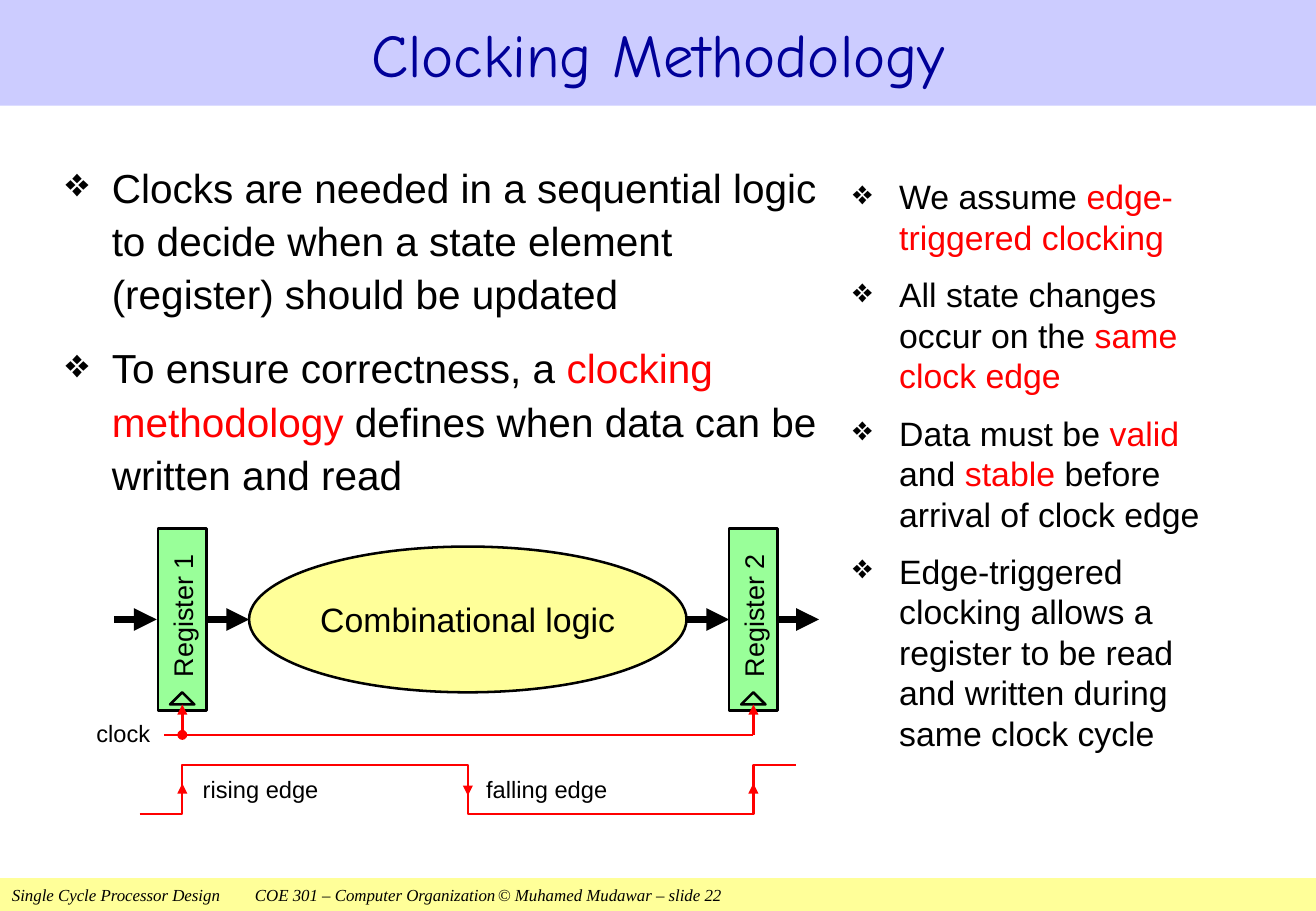
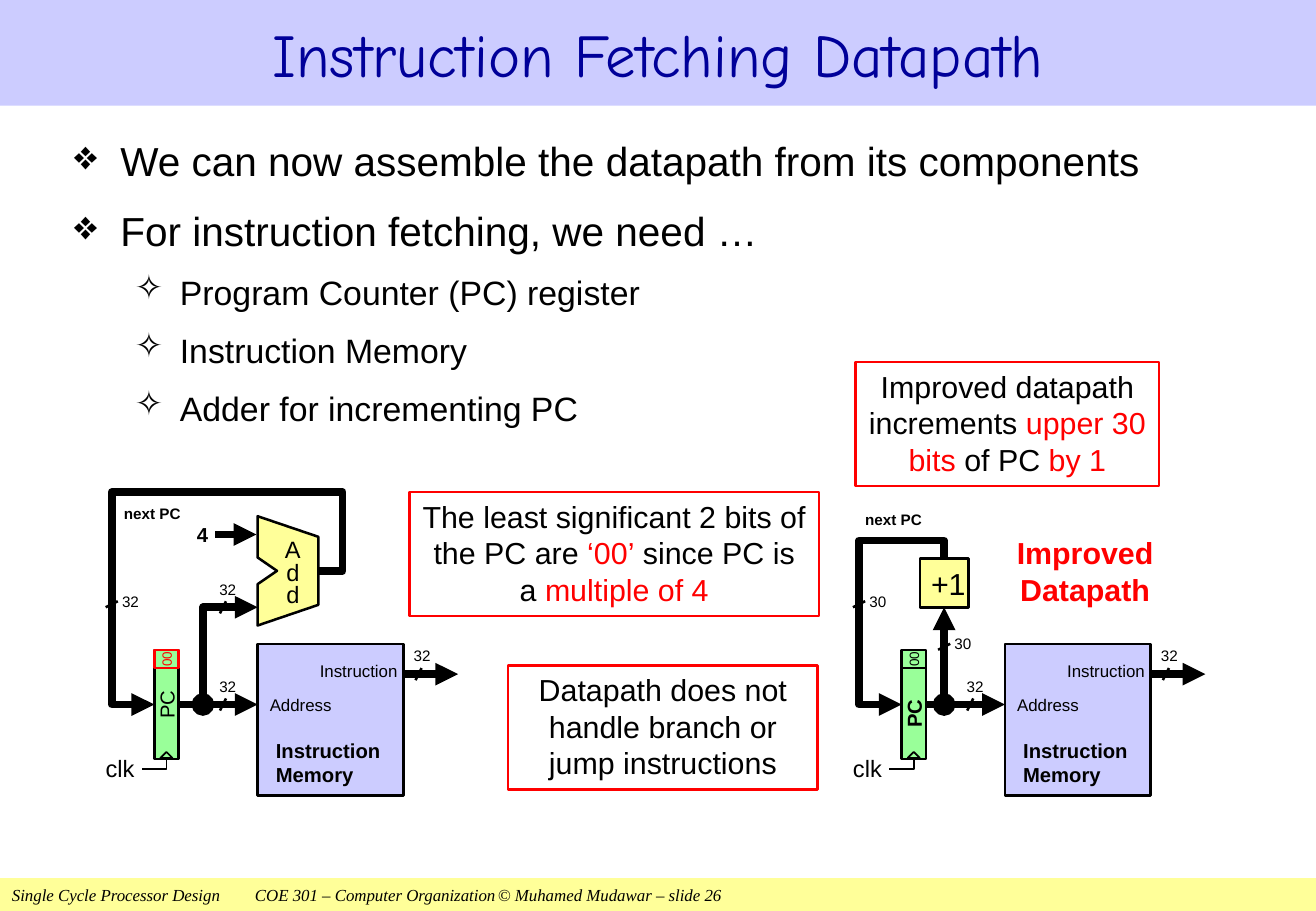
import lxml.etree
import pptx
import pptx.dml.color
import pptx.enum.shapes
import pptx.enum.text
import pptx.oxml.ns
import pptx.util

SHAPE = pptx.enum.shapes.MSO_SHAPE
ALIGN = pptx.enum.text.PP_ALIGN
ANCHOR = pptx.enum.text.MSO_ANCHOR
Pt = pptx.util.Pt
qn = pptx.oxml.ns.qn

BLACK, RED, NAVY = "000000", "FF0000", "000099"
LILAC, YELLOW, GREEN = "CCCCFF", "FFFF99", "99FF99"
WIDTH, HEIGHT = 10.83, 7.5
GRID_CM = 2.54
NO_INSET = (0, 0, 0, 0)
BOX_INSET = (0.1, 0.05, 0.1, 0.05)
LIST_INSET = (0, 0.05, 0, 0.05)
THICK = 4.5


def grid(n):
    return pptx.util.Cm(n * GRID_CM)


def rgb(value):
    return pptx.dml.color.RGBColor.from_string(value)


def assign(target, values):
    for name, value in values.items():
        setattr(target, name, value)


def write(sp, paras, size, color=BLACK, bold=False, italic=False, font="Arial",
          align=ALIGN.LEFT, anchor=ANCHOR.MIDDLE, inset=NO_INSET,
          spacing=None, before=0, bullets=None):
    tf = sp.text_frame
    assign(tf, {"word_wrap": True, "vertical_anchor": anchor,
                "auto_size": pptx.enum.text.MSO_AUTO_SIZE.NONE})
    sides = ("margin_left", "margin_top", "margin_right", "margin_bottom")
    assign(tf, dict(zip(sides, map(grid, inset))))
    for i, para in enumerate(paras):
        level, text = para if isinstance(para, tuple) else (0, para)
        points = size - 4 * level
        p = tf.paragraphs[0] if i == 0 else tf.add_paragraph()
        assign(p, {"alignment": align, "level": level, "line_spacing": spacing,
                   "space_before": Pt(before * points if i else 0)})
        if bullets:
            pPr = p._p.get_or_add_pPr()
            left, hang, mark = bullets[level]
            pPr.set("marL", str(grid(left)))
            pPr.set("indent", str(-grid(hang)))
            lxml.etree.SubElement(pPr, qn("a:buChar"), char=mark)
        for j, part in enumerate(text.split("*")):
            if part:
                r = p.add_run()
                r.text = part
                assign(r.font, {"name": font, "size": Pt(points), "bold": bold, "italic": italic})
                r.font.color.rgb = rgb(RED if j % 2 else color)


def label(s, box, paras, size, **style):
    sp = s.shapes.add_textbox(*map(grid, box))
    write(sp, paras, size, **style)


def paint(sp, fill=None, line=None, width=1.5):
    sp.shadow.inherit = False
    if fill:
        sp.fill.solid()
        sp.fill.fore_color.rgb = rgb(fill)
    else:
        sp.fill.background()
    if line:
        sp.line.color.rgb = rgb(line)
        sp.line.width = Pt(width)
    else:
        sp.line.fill.background()


def block(s, box, kind=SHAPE.RECTANGLE, fill=None, line=BLACK, width=1.5):
    sp = s.shapes.add_shape(kind, *map(grid, box))
    paint(sp, fill, line, width)
    return sp


def upright(s, box, text, size, fill=GREEN, line=BLACK, **style):
    x, y, w, h = box
    sp = block(s, (x + w / 2 - h / 2, y + h / 2 - w / 2, h, w), fill=fill, line=line)
    sp.rotation = 270
    write(sp, [text], size, align=ALIGN.CENTER, **style)


def add_ends(sp, head, tail):
    ln = sp.line._get_or_add_ln()
    for tag, kind in (("a:headEnd", head), ("a:tailEnd", tail)):
        if kind:
            lxml.etree.SubElement(ln, qn(tag), type=kind)


def wire(s, start, end, color=BLACK, width=1.5, head=None, tail=None):
    kind = pptx.enum.shapes.MSO_CONNECTOR.STRAIGHT
    cx = s.shapes.add_connector(kind, *map(grid, start + end))
    cx.line.color.rgb = rgb(color)
    cx.line.width = Pt(width)
    lxml.etree.SubElement(cx._element.spPr, qn("a:effectLst"))
    add_ends(cx, head, tail)


def outline(s, x, y, points, closed=False, fill=None, line=BLACK, width=1.5, head=None, tail=None):
    pts = [(grid(x + dx), grid(y + dy)) for dx, dy in points]
    fb = s.shapes.build_freeform(*pts[0], scale=1.0)
    fb.add_line_segments(pts[1:], close=closed)
    sp = fb.convert_to_shape()
    paint(sp, fill, line, width)
    add_ends(sp, head, tail)


def new_slide(prs, title, number):
    s = prs.slides.add_slide(prs.slide_layouts[5])
    sp = s.shapes.title
    assign(sp, dict(zip(("left", "top", "width", "height"), map(grid, (0, 0, WIDTH, 0.87)))))
    sp.fill.solid()
    sp.fill.fore_color.rgb = rgb(LILAC)
    write(sp, [title], 36, color=NAVY, font="Comic Neue", align=ALIGN.CENTER, inset=BOX_INSET)
    footer = block(s, (0, 7.23, WIDTH, 0.27), fill=YELLOW, line=None)
    text = ("Single Cycle Processor Design\tCOE 301 – Computer Organization"
            f"\t© Muhamed Mudawar – slide {number}")
    write(footer, [text], 10, italic=True, font="Times New Roman",
          anchor=ANCHOR.TOP, inset=BOX_INSET)
    return s


def bullet_list(s, box, paras, size, inset=LIST_INSET, spacing=None, before=0.5):
    label(s, box, paras, size, anchor=ANCHOR.TOP, inset=inset, spacing=spacing,
          before=before, bullets=[(0.38, 0.38, "❖"), (0.87, 0.37, "✧")])


def callout(s, box, text):
    sp = block(s, box, line=RED)
    write(sp, [text], 18, align=ALIGN.CENTER, anchor=ANCHOR.TOP, inset=BOX_INSET)


def register_path(s, x, y):
    center = {"align": ALIGN.CENTER}
    period, top = 4.7, 0.6
    first = x + 0.8
    clock_y = y + 1.55
    logic = block(s, (x + 1.35, y, 3.6, 1.2), SHAPE.OVAL, YELLOW)
    write(logic, ["Combinational logic"], 20, **center)
    for start in (0.24, 1, 4.95, 5.69):
        wire(s, (x + start, y + top), (x + start + 0.35, y + top), width=THICK, tail="triangle")
    for i, head in enumerate(("oval", None)):
        mid = first + i * period
        upright(s, (mid - 0.2, y - 0.15, 0.4, 1.5), f" Register {i + 1}", 16)
        block(s, (mid - 0.1, y + 1.2, 0.2, 0.1), SHAPE.ISOSCELES_TRIANGLE, GREEN)
        wire(s, (mid, clock_y), (mid, y + 1.3), RED, head=head, tail="triangle")
    wire(s, (first + period, clock_y), (x + 0.65, clock_y), RED)
    label(s, (x, y + 1.37, 0.63, 0.33), ["clock"], 14, **center)
    clock_signal(s, first, y + 1.8, period / 2)
    for dx, w, text in ((0.92, 1.05, "rising edge"), (3.2, 1.2, "falling edge")):
        label(s, (x + dx, y + 1.85, w, 0.3), [text], 14, **center)


def clock_signal(s, x, y, half):
    low, lead = 0.4, 0.35
    points = [(-lead, low)]
    for i in range(3):
        before, after = (0, low) if i % 2 else (low, 0)
        points += [(i * half, before), (i * half, after)]
    outline(s, x, y, points + [(2 * half + lead, 0)], line=RED)
    for i in range(3):
        start, end = (0.15, 0.25) if i % 2 else (0.25, 0.15)
        wire(s, (x + i * half, y + start), (x + i * half, y + end), RED, 1, tail="triangle")


def bus_width(s, x, y, bits, tick, slope=(-0.05, 0.1)):
    label(s, (x, y, 0.2, 0.2), [f" {bits}"], 9)
    tx, ty = x + tick[0], y + tick[1]
    wire(s, (tx, ty), (tx + slope[0], ty + slope[1]))


def instruction_memory(s, x, y):
    block(s, (x, y, 1.2, 1.25), fill=LILAC)
    label(s, (x + 0.1, y + 0.35, 0.75, 0.3), ["Address"], 10)
    label(s, (x + 0.2, y + 0.1, 0.95, 0.25), ["Instruction"], 10, align=ALIGN.RIGHT)
    label(s, (x + 0.15, y + 0.7, 0.95, 0.55), ["Instruction", "Memory"], 12, bold=True)
    wire(s, (x - 0.65, y + 0.5), (x, y + 0.5), width=THICK, tail="triangle")
    wire(s, (x + 1.2, y + 0.25), (x + 1.65, y + 0.25), width=THICK, tail="triangle")
    bus_width(s, x + 1.25, y, 32, (0.1, 0.2))
    bus_width(s, x - 0.35, y + 0.25, 32, (0.09, 0.2))


def fetch_path(s, x, y, pc_top, pc_bold, low_bits, loop, loop_bits, next_pc):
    upright(s, (x + 0.4, y + pc_top, 0.2, 2.25 - pc_top), "PC", 12, bold=pc_bold)
    upright(s, (x + 0.4, y + 1.35, 0.2, 0.15), "00", 8, line=low_bits, color=low_bits)
    outline(s, x, y, loop + [(0.05, 1.8), (0.4, 1.8)], width=THICK, tail="triangle")
    bus_width(s, x + 0.1, y + 0.85, loop_bits, (0, 0.1), (-0.1, 0.05))
    instruction_memory(s, x + 1.25, y + 1.3)
    label(s, (x + next_pc[0], y + next_pc[1], 0.55, 0.15), ["next PC"], 9, bold=True)
    block(s, (x + 0.45, y + 2.19, 0.1, 0.05), SHAPE.ISOSCELES_TRIANGLE, width=1)
    outline(s, x, y, [(0.5, 2.25), (0.5, 2.33), (0.3, 2.33)], width=1)
    label(s, (x, y + 2.22, 0.3, 0.2), ["clk"], 14)


def adder_path(s, x, y):
    fetch_path(s, x, y, 1.35, False, RED,
               [(1.75, 0.7), (1.95, 0.7), (1.95, 0.05), (0.05, 0.05)], 32, (0.15, 0.15))
    outline(s, x, y, [(0.8, 1.8), (0.8, 1), (1.25, 1)], width=THICK, head="oval", tail="triangle")
    bus_width(s, x + 0.9, y + 0.75, 32, (0.09, 0.2))
    label(s, (x + 0.75, y + 0.25, 0.15, 0.3), ["4"], 12, bold=True)
    wire(s, (x + 0.9, y + 0.4), (x + 1.24, y + 0.4), width=THICK, tail="triangle")
    adder = [(0, 0.9), (0.5, 0.73), (0.5, 0.17), (0, 0), (0, 0.34), (0.16, 0.45), (0, 0.56)]
    outline(s, x + 1.25, y + 0.25, adder, closed=True, fill=YELLOW)
    label(s, (x + 1.33, y + 0.4, 0.42, 0.66), list("Add"), 14, align=ALIGN.CENTER,
          inset=BOX_INSET, spacing=0.8)


def improved_path(s, x, y):
    fetch_path(s, x, y, 1.5, True, BLACK,
               [(0.75, 0.6), (0.75, 0.45), (0.05, 0.45)], 30, (0.1, 0.2))
    wire(s, (x + 0.75, y + 1.8), (x + 0.75, y + 1), width=THICK, head="oval", tail="triangle")
    bus_width(s, x + 0.8, y + 1.2, 30, (0, 0.1), (-0.1, 0.05))
    increment = block(s, (x + 0.55, y + 0.6, 0.4, 0.4), fill=YELLOW)
    write(increment, [" +1"], 18, align=ALIGN.CENTER)
    label(s, (x + 1.15, y + 0.35, 1.52, 0.7), ["Improved", "Datapath"], 18, color=RED, bold=True,
          align=ALIGN.CENTER, anchor=ANCHOR.TOP, inset=BOX_INSET)


def clocking_slide(prs):
    s = new_slide(prs, "Clocking Methodology", 22)
    bullet_list(s, (0.54, 1.25, 6.26, 2.89), [
        "Clocks are needed in a sequential logic to decide when a state element "
        "(register) should be updated",
        "To ensure correctness, a *clocking methodology* defines when data can be "
        "written and read"], 24, spacing=1.1)
    register_path(s, 0.7, 4.5)
    bullet_list(s, (7.02, 1.4, 2.9, 5), [
        "We assume *edge-triggered clocking*",
        "All state changes occur on the *same clock edge*",
        "Data must be *valid* and *stable* before arrival of clock edge",
        "Edge-triggered clocking allows a register to be read and written "
        "during same clock cycle"], 20)


def fetching_slide(prs):
    s = new_slide(prs, "Instruction Fetching Datapath", 26)
    bullet_list(s, (0.54, 1.05, 9.75, 3.23), [
        "We can now assemble the datapath from its components",
        "For instruction fetching, we need …",
        (1, "Program Counter (PC) register"),
        (1, "Instruction Memory"),
        (1, "Adder for incrementing PC")], 24, (0.07, 0.03, 0.07, 0.03), 1.1, 0.4)
    callout(s, (3.37, 4.05, 3.37, 1.02),
            "The least significant 2 bits of the PC are *‘00’* since PC is a *multiple of 4*")
    callout(s, (4.18, 5.48, 2.55, 1.02), "Datapath does not handle branch or jump instructions")
    callout(s, (7.04, 2.98, 2.5, 1.02),
            "Improved datapath increments *upper 30 bits* of PC *by 1*")
    adder_path(s, 0.87, 4)
    improved_path(s, 7.02, 4)


prs = pptx.Presentation()
assign(prs, {"slide_width": grid(WIDTH), "slide_height": grid(HEIGHT)})
clocking_slide(prs)
fetching_slide(prs)
prs.save("out.pptx")
